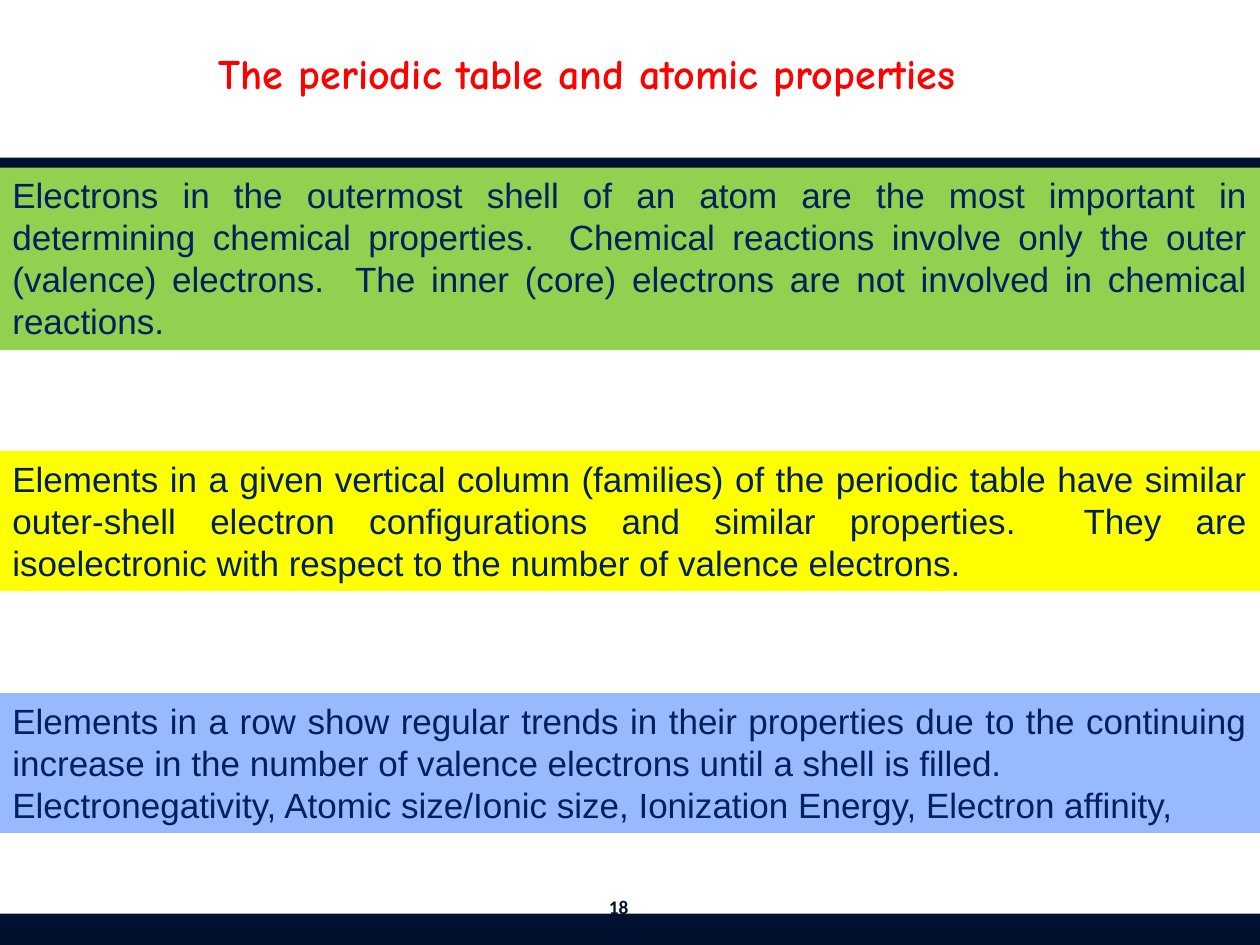
from dataclasses import dataclass

from pptx import Presentation
from pptx.dml.color import RGBColor
from pptx.enum.shapes import MSO_SHAPE
from pptx.enum.text import MSO_ANCHOR, PP_ALIGN
from pptx.util import Inches, Pt

RECT = MSO_SHAPE.RECTANGLE
TOP, MIDDLE = MSO_ANCHOR.TOP, MSO_ANCHOR.MIDDLE
CENTER, JUSTIFY = PP_ALIGN.CENTER, PP_ALIGN.JUSTIFY


@dataclass(frozen=True)
class Theme:
    bar: str = "00102F"
    title: str = "FF0000"
    body: str = "002060"
    green: str = "92D050"
    yellow: str = "FFFF00"
    blue: str = "97BAFF"
    title_font: str = "Comic Neue"
    body_font: str = "Arial"
    number_font: str = "Calibri"
    title_size: int = 24
    body_size: int = 20
    number_size: int = 11


@dataclass(frozen=True)
class Panel:
    top: float
    height: float
    fill: str
    paragraphs: tuple[str, ...]


THEME = Theme()
SLIDE_W, SLIDE_H = 10, 7.5
BAR_H = 0.25

PANELS = (
    Panel(1.33, 1.45, THEME.green, (
        "Electrons in the outermost shell of an atom are the most important in "
        "determining chemical properties.  Chemical reactions involve only the "
        "outer (valence) electrons.  The inner (core) electrons are not involved "
        "in chemical reactions.",
    )),
    Panel(3.58, 1.11, THEME.yellow, (
        "Elements in a given vertical column (families) of the periodic table "
        "have similar outer-shell electron configurations and similar "
        "properties.  They are isoelectronic with respect to the number of "
        "valence electrons.",
    )),
    Panel(5.5, 1.11, THEME.blue, (
        "Elements in a row show regular trends in their properties due to the "
        "continuing increase in the number of valence electrons until a shell "
        "is filled.",
        "Electronegativity, Atomic size/Ionic size, Ionization Energy, "
        "Electron affinity,",
    )),
)


def add_band(s, top: float, height: float, fill: str):
    """Draw a plain rectangle across the whole slide."""
    sp = s.shapes.add_shape(RECT, 0, Inches(top), Inches(SLIDE_W), Inches(height))
    sp.shadow.inherit = False
    sp.fill.solid()
    sp.fill.fore_color.rgb = RGBColor.from_string(fill)
    sp.line.fill.background()
    return sp


def add_box(s, left: float, top: float, width: float, height: float):
    return s.shapes.add_textbox(Inches(left), Inches(top), Inches(width), Inches(height))


def write(sp, *paragraphs: str, font: str, size: int, color: str,
          bold: bool = False, align=CENTER, anchor=TOP) -> None:
    tf = sp.text_frame
    tf.word_wrap = True
    tf.vertical_anchor = anchor
    for i, text in enumerate(paragraphs):
        p = tf.add_paragraph() if i else tf.paragraphs[0]
        p.alignment = align
        r = p.add_run()
        r.text = text
        r.font.name = font
        r.font.size = Pt(size)
        r.font.bold = bold
        r.font.color.rgb = RGBColor.from_string(color)


def main() -> None:
    prs = Presentation()
    prs.slide_width, prs.slide_height = Inches(SLIDE_W), Inches(SLIDE_H)
    s = prs.slides.add_slide(prs.slide_layouts[6])

    # Dark bars at the foot and under the title
    for top in (SLIDE_H - BAR_H, 1.25):
        add_band(s, top, BAR_H, THEME.bar)

    # Title
    write(add_box(s, 0.36, 0.33, 8.6, 0.51), "The periodic table and atomic properties",
          font=THEME.title_font, size=THEME.title_size, color=THEME.title, bold=True)

    # Coloured text panels
    for panel in PANELS:
        write(add_band(s, panel.top, panel.height, panel.fill), *panel.paragraphs,
              font=THEME.body_font, size=THEME.body_size, color=THEME.body, align=JUSTIFY)

    # Slide number
    write(add_box(s, 4.7, 7, 0.42, 0.4), "18", font=THEME.number_font,
          size=THEME.number_size, color=THEME.bar, bold=True, anchor=MIDDLE)

    prs.save("out.pptx")


if __name__ == "__main__":
    main()
